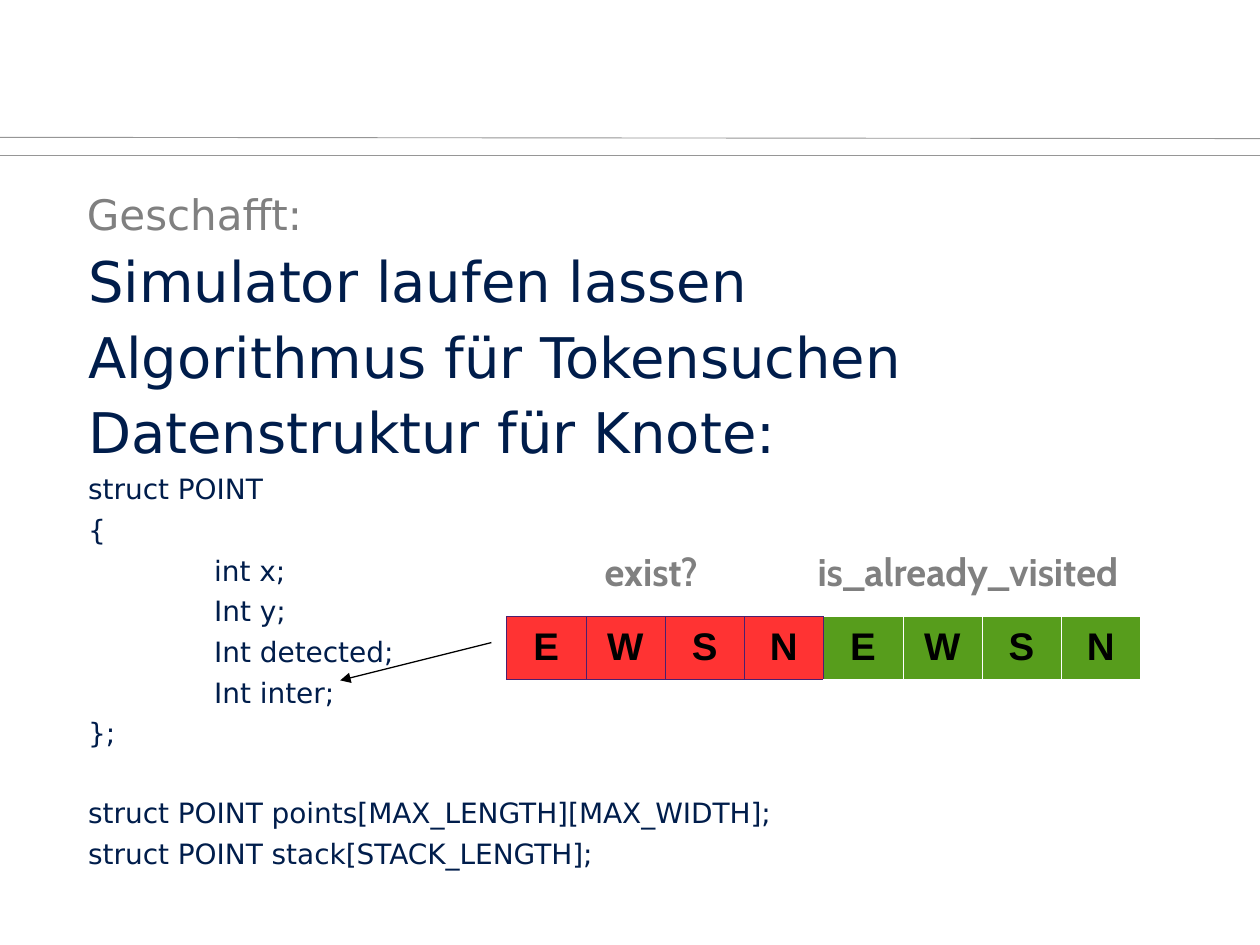
"""Build the progress slide with the POINT structure and its direction flags."""
from lxml.etree import SubElement
from pptx import Presentation
from pptx.dml.color import RGBColor
from pptx.enum.shapes import MSO_CONNECTOR
from pptx.enum.text import MSO_ANCHOR, PP_ALIGN
from pptx.oxml.ns import qn
from pptx.util import Inches, Pt

WHITE = RGBColor(0xFF, 0xFF, 0xFF)
BLACK = RGBColor(0x00, 0x00, 0x00)
GRAY = RGBColor(0x80, 0x80, 0x80)
RULE_GRAY = RGBColor(0x96, 0x96, 0x96)
NAVY = RGBColor(0x00, 0x1D, 0x4B)
RED = RGBColor(0xFF, 0x33, 0x33)
GREEN = RGBColor(0x57, 0x9D, 0x1C)
PURPLE = RGBColor(0x4B, 0x1F, 0x6F)

HEADING = {"name": "DejaVu Sans", "size": Pt(24), "color": GRAY}
TOPIC = {"name": "DejaVu Sans", "size": Pt(32), "color": NAVY}
CODE = {**TOPIC, "size": Pt(16)}
CAPTION = {"name": "Cabin", "size": Pt(22), "bold": True, "color": GRAY}
FLAG = {"name": "Arial", "size": Pt(22), "bold": True, "color": BLACK}

TOPICS = ["Simulator laufen lassen", "Algorithmus für Tokensuchen", "Datenstruktur für Knote:"]
FIELDS = ["int x;", "Int y;", "Int detected;", "Int inter;"]
DECLARATIONS = ["struct POINT points[MAX_LENGTH][MAX_WIDTH];", "struct POINT stack[STACK_LENGTH];"]
DIRECTIONS = "EWSN"


class SlideBuilder:
    """Hold the slide and the house style for each kind of element."""

    def __init__(self, slide):
        self.slide = slide
        self.line_gap = Pt(3.5)
        self.line_spacing = 1.03
        self.border_width = Pt(0.06)

    def format_run(self, run, style):
        """Apply a dict of font values to a run."""
        for attribute, value in style.items():
            if attribute == "color":
                run.font.color.rgb = value
            else:
                setattr(run.font, attribute, value)

    def text_frame(self, box, insets, anchor, wrap=True):
        """Add an empty text box and return its frame."""
        frame = self.slide.shapes.add_textbox(*map(Inches, box)).text_frame
        left, top, right, bottom = map(Inches, insets)
        layout = {"margin_left": left, "margin_top": top, "margin_right": right,
                  "margin_bottom": bottom, "vertical_anchor": anchor, "word_wrap": wrap}
        for attribute, value in layout.items():
            setattr(frame, attribute, value)
        return frame

    def label(self, text, box, style, insets, anchor=MSO_ANCHOR.TOP, wrap=False):
        """Add a text box of one line."""
        frame = self.text_frame(box, insets, anchor, wrap)
        self.format_run(self.add_run(frame.paragraphs[0], text), style)

    def add_run(self, paragraph, text):
        """Add a run with its text."""
        run = paragraph.add_run()
        run.text = text
        return run

    def body(self, lines, box):
        """Add a text box of (text, style, indent, space before) lines."""
        frame = self.text_frame(box, (0, 0, 0, 0), MSO_ANCHOR.MIDDLE)
        for index, (text, style, indent, gap) in enumerate(lines):
            paragraph = frame.add_paragraph() if index else frame.paragraphs[0]
            paragraph.space_before = gap or self.line_gap
            paragraph.line_spacing = self.line_spacing
            paragraph._p.get_or_add_pPr().set("marL", str(Inches(indent)))
            self.format_run(self.add_run(paragraph, text), style)

    def line(self, start, end, color, width, arrow=False):
        """Add a straight line, with an arrowhead at its end on request."""
        connector = self.slide.shapes.add_connector(
            MSO_CONNECTOR.STRAIGHT, *map(Inches, (*start, *end)))
        connector.line.color.rgb = color
        connector.line.width = Pt(width)
        if arrow:
            SubElement(connector.line._get_or_add_ln(), qn("a:tailEnd"), type="triangle")
        SubElement(connector._element.spPr, qn("a:effectLst"))

    def border(self, cell, colors):
        """Draw cell borders from a dict of side tags and colours."""
        properties = cell._tc.get_or_add_tcPr()
        for index, (side, color) in enumerate(colors.items()):
            edge = properties.makeelement(qn(f"a:{side}"), {"w": str(self.border_width)})
            fill = SubElement(edge, qn("a:solidFill"))
            SubElement(fill, qn("a:srgbClr"), val=str(color))
            properties.insert(index, edge)

    def flag_row(self, flags, box):
        """Add a one-row table of (text, fill, border colours) cells."""
        table = self.slide.shapes.add_table(1, len(flags), *map(Inches, box)).table
        for band in ("first_row", "horz_banding"):
            setattr(table, band, False)
        for cell, (text, fill, borders) in zip(table.iter_cells(), flags):
            cell.fill.solid()
            cell.fill.fore_color.rgb = fill
            paragraph = cell.text_frame.paragraphs[0]
            paragraph.alignment = PP_ALIGN.CENTER
            paragraph.line_spacing = 1.08
            self.format_run(self.add_run(paragraph, text), FLAG)
            self.border(cell, borders)


def main():
    """Compose and save the slide."""
    presentation = Presentation()
    presentation.slide_width, presentation.slide_height = Inches(10), Inches(7.5)
    builder = SlideBuilder(presentation.slides.add_slide(presentation.slide_layouts[6]))

    builder.line((0, 1.23), (10, 1.23), RULE_GRAY, 0.5)
    builder.line((0, 1.09), (10, 1.1), RULE_GRAY, 0.5)
    builder.label("Geschafft:", (0.69, 1.39, 8.21, 0.61), HEADING,
                  (0, 0.05, 0.1, 0.05), MSO_ANCHOR.MIDDLE, True)

    lines = [(topic, TOPIC, 0, None) for topic in TOPICS]
    lines += [(text, CODE, 0, None) for text in ("struct POINT", "{")]
    lines += [(field, CODE, 1, None) for field in FIELDS]
    lines.append(("};", CODE, 0, None))
    lines += [(text, CODE, 0, gap) for text, gap in zip(DECLARATIONS, (Pt(26), None))]
    builder.body(lines, (0.7, 2, 8.17, 4.85))

    purple_edges = dict.fromkeys(("lnL", "lnR", "lnT", "lnB"), PURPLE)
    white_edges = dict.fromkeys(purple_edges, WHITE)
    flags = [(direction, RED, purple_edges) for direction in DIRECTIONS]
    flags += [(direction, GREEN, white_edges if index else {**white_edges, "lnL": PURPLE})
              for index, direction in enumerate(DIRECTIONS)]
    builder.flag_row(flags, (4.02, 4.89, 5.03, 0.5))

    builder.line((3.9, 5.1), (2.7, 5.4), BLACK, 0.75, arrow=True)
    for caption, left, width in (("exist?", 4.7, 1.2), ("is_already_visited", 6.39, 3.21)):
        builder.label(caption, (left, 4.3, width, 0.49), CAPTION, (0.1, 0.05, 0.1, 0.05))

    presentation.save("out.pptx")


if __name__ == "__main__":
    main()
